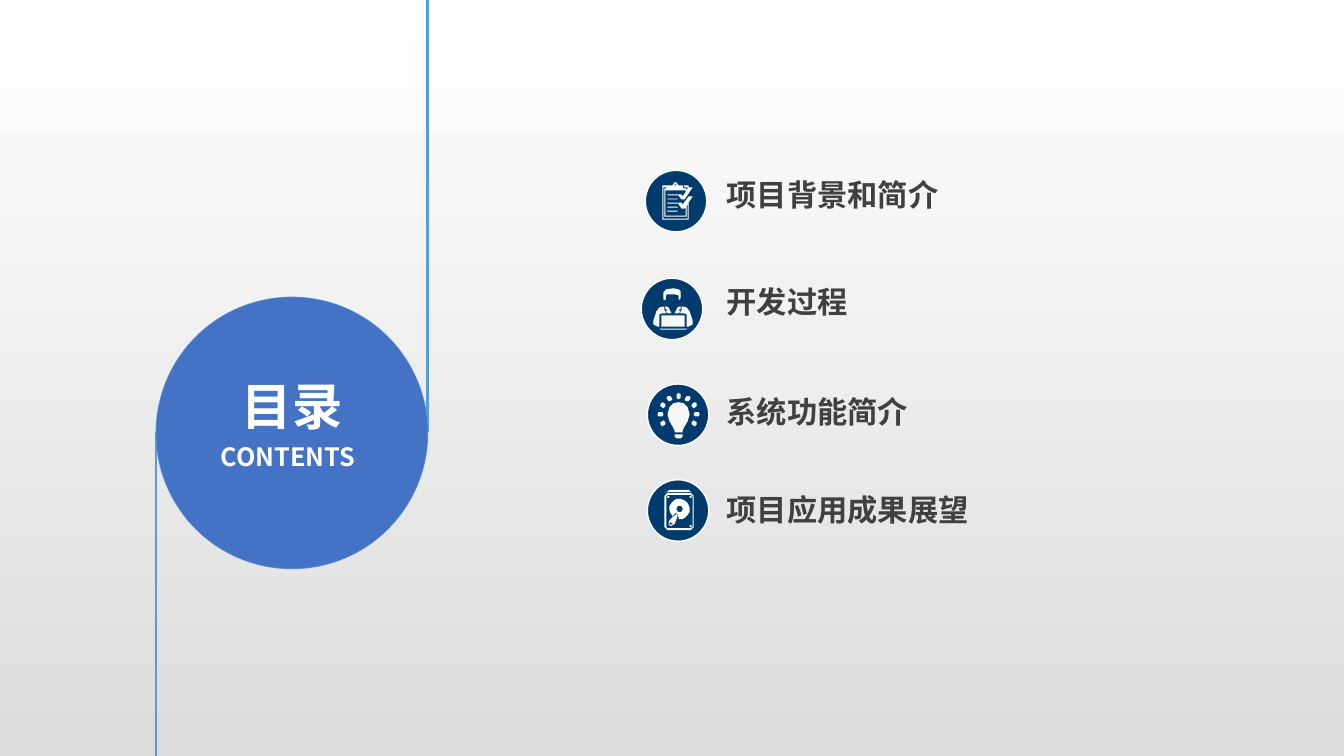
from math import cos, radians, sin

from lxml.etree import SubElement
from pptx import Presentation
from pptx.dml.color import RGBColor
from pptx.enum.shapes import MSO_CONNECTOR as CONN, MSO_SHAPE as SHAPE
from pptx.enum.text import MSO_AUTO_SIZE as FIT
from pptx.oxml.ns import qn
from pptx.util import Inches, Pt

FONT = "Noto Sans CJK SC"
BLUE, SKY, NAVY = "4472C4", "5B9BD5", "013B6D"
WHITE, SNOW, GREY = "FFFFFF", "F8F8F8", "404040"


def rgb(value):
    return RGBColor.from_string(value)


def arc(x, y, radius, start=0, end=360):
    return [(x + radius * cos(radians(a)), y + radius * sin(radians(a)))
            for a in range(start, end, 20)]


prs = Presentation()
prs.slide_width, prs.slide_height = Inches(13.33), Inches(7.5)
s = prs.slides.add_slide(prs.slide_layouts[6])

bg = s.background.fill
bg.gradient()
bg.gradient_angle = 270
for stop, color, position in zip(bg.gradient_stops, (WHITE, "DCDCDC"), (0, 1)):
    stop.color.rgb = rgb(color)
    stop.position = position

ring = s.shapes.add_shape(SHAPE.OVAL, Inches(1.55), Inches(2.95), Inches(2.69), Inches(2.69))
ring.shadow.inherit = False
ring.fill.background()
ring.line.color.rgb = rgb(SKY)
ring.line.width = Pt(1)

for x, top, bottom in [(4.24, -0.02, 4.29), (1.55, 4.29, 7.5)]:
    line = s.shapes.add_connector(CONN.STRAIGHT, Inches(x), Inches(top), Inches(x), Inches(bottom))
    line.line.color.rgb = rgb(SKY)
    line.line.width = Pt(1.5)
    SubElement(line._element.spPr, qn("a:effectLst"))

disc = s.shapes.add_shape(SHAPE.OVAL, ring.left, ring.top, ring.width, ring.height)
disc.shadow.inherit = False
disc.fill.solid()
disc.fill.fore_color.rgb = rgb(BLUE)
disc.line.fill.background()

tick = [(47, 17), (39, 29), (36, 29), (32, 24), (36, 24), (37, 26), (43, 17)]
clipboard = [
    [(21, 17), (18, 17), (18, 48), (42, 48), (42, 34), (43, 32), (43, 49),
     (17, 49), (17, 15), (22, 15)],
    [(38, 15), (43, 15), (43, 17), (42, 18), (42, 17), (39, 17)],
    [(41, 18), (41, 19), (40, 21), (40, 20), (20, 20), (20, 45), (40, 45),
     (40, 37), (41, 35), (41, 46), (19, 46), (19, 18)],
    [(21, 18), (22, 15), (27, 15), (29, 12), (31, 12), (33, 15), (37, 15), (38, 18)],
    arc(30, 14.5, 1),
    tick,
    [(x, y + 8.5) for x, y in tick],
]
clipboard += [[(22, y), (32, y), (32, y + 1), (22, y + 1)] for y in range(24, 41, 4)]

sleeve = [(18, 48), (16, 48), (12, 46), (12, 42), (15, 33), (18, 29), (23, 28),
          (23, 32), (24, 32), (23, 33), (25, 35), (20, 35), (18, 36)]
lapel = [(24, 28), (25, 28), (27, 29), (30, 35), (26, 35), (24, 33), (26, 32),
         (25, 31), (24, 31)]
developer = [
    [(24, 22), (22, 21), (22, 14), (25, 11), (32, 10), (37, 11), (39, 13),
     (39, 20), (37, 22), (37, 17), (33, 16), (25, 16)],
    [(20, 37), (43, 37), (43, 48), (20, 48)],
    [(18, 50), (46, 50), (44, 51), (19, 51)],
]
for part in (sleeve, lapel):
    developer += [part, [(63 - x, y) for x, y in part]]

glass = [(31, 18), (26, 19), (22, 23), (20, 30), (22, 37), (25, 42), (27, 46), (27, 48)]
cap = [(31, 50), (27, 50), (27, 52), (29, 54)]
bulb = [half + [(62 - x, y) for x, y in reversed(half)] for half in (glass, cap)]
ray = [(15, 0), (16, 2), (20, 2), (21, 0), (20, -2), (16, -2)]
for angle in range(150, 391, 30):
    c, d = cos(radians(angle)), sin(radians(angle))
    bulb.append([(31 + x * c - y * d, 30 + x * d + y * c) for x, y in ray])

drive = [
    [(18, 13), (22, 10), (41, 10), (44, 13), (43, 12), (20, 12)],
    [(20, 13), (43, 13), (46, 16), (46, 47), (43, 50), (20, 50), (17, 47), (17, 16)],
    [(20, 15), (43, 15), (45, 16), (45, 47), (43, 48), (20, 48), (19, 47), (19, 16)],
    arc(32, 29, 10, 135, 456) + [(31, 37), (30, 34), (28, 33), (27, 34)],
    arc(32, 29, 3),
    [(29, 34), (25, 37), (22, 40), (21, 44), (23, 46), (27, 44), (29, 39), (30, 36)],
    arc(23.5, 43.5, 1.3),
]
drive += [arc(x, y, 1) for x, y in [(21, 17), (43, 17), (43, 46)]]

badges = [
    (6.4, 1.69, clipboard, WHITE),
    (6.36, 2.76, developer, SNOW),
    (6.42, 3.81, bulb, SNOW),
    (6.42, 4.76, drive, WHITE),
]
for x, y, contours, color in badges:
    badge = s.shapes.add_shape(SHAPE.OVAL, Inches(x), Inches(y), Inches(0.61), Inches(0.61))
    badge.line.color.rgb = rgb(WHITE)
    badge.line.width = Pt(1)

    fb = s.shapes.build_freeform(*contours[0][0], scale=Inches(0.01))
    fb.add_line_segments(contours[0][1:])
    for contour in contours[1:]:
        fb.move_to(*contour[0])
        fb.add_line_segments(contour[1:])
    icon = fb.convert_to_shape(Inches(x), Inches(y))
    icon.line.fill.background()

    for sp, fill in [(badge, NAVY), (icon, color)]:
        sp.shadow.inherit = False
        sp.fill.solid()
        sp.fill.fore_color.rgb = rgb(fill)

texts = [
    ("目录", 2.3, 3.67, 1.74, 0.71, 36, WHITE, True),
    ("CONTENTS", 2.09, 4.33, 2.33, 0.4, 18, WHITE, True),
    ("项目背景和简介", 7.11, 1.7, 2.3, 0.46, 21.6, GREY, False),
    ("开发过程", 7.11, 2.76, 1.4, 0.46, 21.6, GREY, False),
    ("系统功能简介", 7.11, 3.85, 2, 0.46, 21.6, GREY, False),
    ("项目应用成果展望", 7.11, 4.82, 2.6, 0.46, 21.6, GREY, False),
]
for text, x, y, w, h, size, color, wrap in texts:
    tf = s.shapes.add_textbox(Inches(x), Inches(y), Inches(w), Inches(h)).text_frame
    tf.word_wrap = wrap
    tf.auto_size = FIT.SHAPE_TO_FIT_TEXT
    r = tf.paragraphs[0].add_run()
    r.text = text
    for key, value in {"size": Pt(size), "bold": True, "name": FONT}.items():
        setattr(r.font, key, value)
    r.font.color.rgb = rgb(color)
    SubElement(r._r.get_or_add_rPr(), qn("a:ea"), typeface=FONT)

prs.save("out.pptx")
